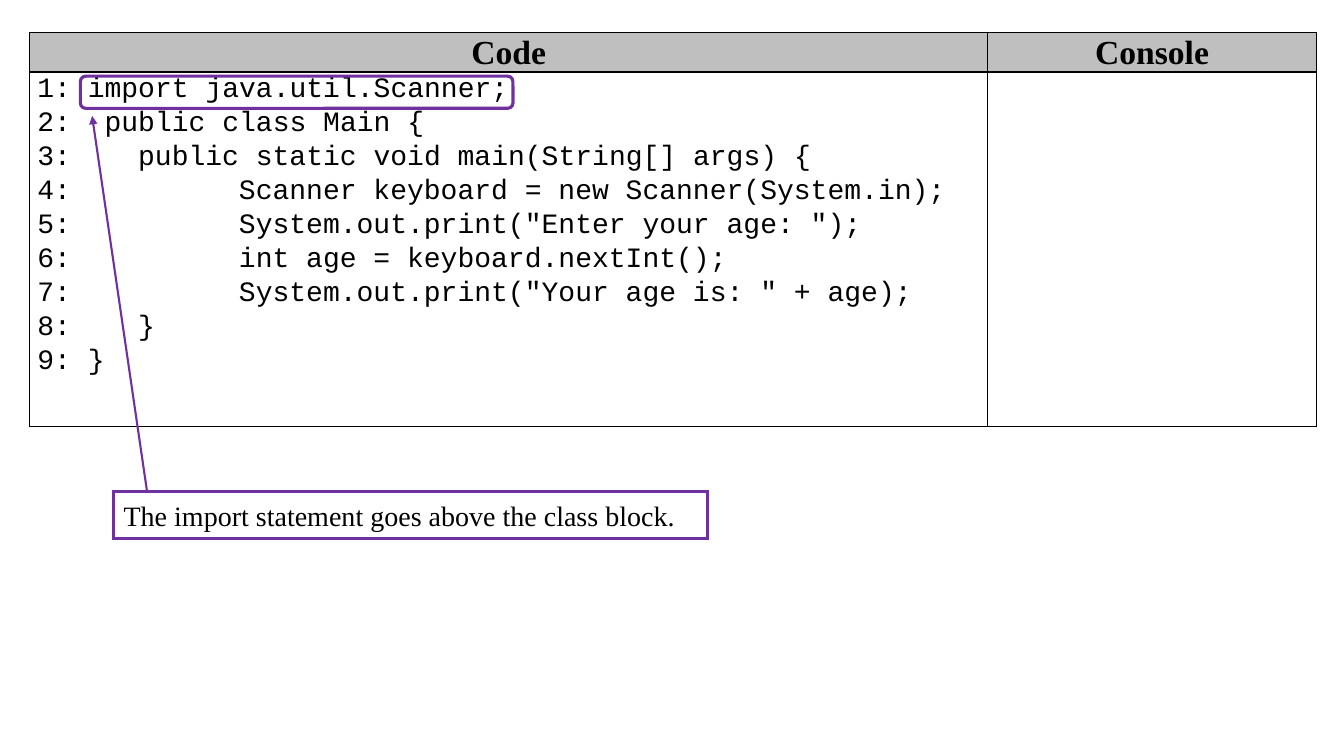
from dataclasses import dataclass

from lxml.etree import SubElement
from pptx import Presentation
from pptx.dml.color import RGBColor
from pptx.enum.shapes import MSO_CONNECTOR, MSO_SHAPE
from pptx.enum.text import MSO_ANCHOR, PP_ALIGN
from pptx.oxml import parse_xml
from pptx.oxml.ns import nsdecls, qn
from pptx.util import Pt


@dataclass(frozen=True)
class Theme:
    ink: str = "000000"
    paper: str = "FFFFFF"
    header: str = "BFBFBF"
    accent: str = "7030A0"
    serif: str = "Times New Roman"
    mono: str = "Courier New"
    header_size: int = 24
    text_size: int = 20
    border: float = 1
    outline: float = 2.25
    arrow: float = 1.5
    cell_inset: float = 5.4
    cell_spacing: float = 1.07
    code_tabs: tuple = (72, 144)


CODE = """1: import java.util.Scanner;
2:  public class Main {
3: \tpublic static void main(String[] args) {
4:\t\tScanner keyboard = new Scanner(System.in);
5:\t\tSystem.out.print("Enter your age: ");
6:\t\tint age = keyboard.nextInt();
7:\t\tSystem.out.print("Your age is: " + age);
8:\t}
9: }"""


def write(frame, text, *, font, size, color, bold=False, align=PP_ALIGN.LEFT,
          spacing=None, tabs=()):
    """Fill a text frame, one paragraph for each line of text."""
    for index, line in enumerate(text.split("\n")):
        para = frame.paragraphs[0] if index == 0 else frame.add_paragraph()
        para.alignment = align
        if spacing:
            para.line_spacing = spacing
        if tabs:
            stops = SubElement(para._p.get_or_add_pPr(), qn("a:tabLst"))
            for position in tabs:
                SubElement(stops, qn("a:tab"), pos=str(Pt(position)), algn="l")
        span = para.add_run()
        span.text = line
        span.font.name = font
        span.font.size = Pt(size)
        span.font.bold = bold
        span.font.color.rgb = RGBColor.from_string(color)


class SlideBuilder:
    def __init__(self, page, theme):
        self.page = page
        self.theme = theme

    def stroke(self, line, width):
        line.color.rgb = RGBColor.from_string(self.theme.accent)
        line.width = Pt(width)

    def cell(self, cell, text, *, fill=None, anchor=MSO_ANCHOR.TOP, **style):
        theme = self.theme
        cell.margin_left = cell.margin_right = Pt(theme.cell_inset)
        cell.margin_top = cell.margin_bottom = 0
        cell.vertical_anchor = anchor
        if fill:
            cell.fill.solid()
            cell.fill.fore_color.rgb = RGBColor.from_string(fill)
        else:
            cell.fill.background()
        # Borders come before the fill in the cell properties
        properties = cell._tc.get_or_add_tcPr()
        for index, side in enumerate(("lnL", "lnR", "lnT", "lnB")):
            properties.insert(index, parse_xml(
                f'<a:{side} {nsdecls("a")} w="{Pt(theme.border)}"><a:solidFill>'
                f'<a:srgbClr val="{theme.ink}"/></a:solidFill></a:{side}>'))
        write(cell.text_frame, text, color=theme.ink, spacing=theme.cell_spacing, **style)

    def table(self, left, top, widths, heights, headings, body):
        theme = self.theme
        table = self.page.shapes.add_table(
            2, len(widths), Pt(left), Pt(top), Pt(sum(widths)), Pt(sum(heights))).table
        table.first_row = table.horz_banding = False
        for row, height in zip(table.rows, heights):
            row.height = Pt(height)
        for index, width in enumerate(widths):
            table.columns[index].width = Pt(width)
            self.cell(table.cell(0, index), headings[index], fill=theme.header,
                      anchor=MSO_ANCHOR.MIDDLE, font=theme.serif,
                      size=theme.header_size, bold=True, align=PP_ALIGN.CENTER)
            self.cell(table.cell(1, index), body[index], font=theme.mono,
                      size=theme.text_size, tabs=theme.code_tabs)

    def box(self, kind, left, top, width, height, *, fill=None, text=None):
        theme = self.theme
        box = self.page.shapes.add_shape(kind, Pt(left), Pt(top), Pt(width), Pt(height))
        box.shadow.inherit = False
        self.stroke(box.line, theme.outline)
        SubElement(box.line._get_or_add_ln(), qn("a:miter"), lim="800000")
        if fill:
            box.fill.solid()
            box.fill.fore_color.rgb = RGBColor.from_string(fill)
        else:
            box.fill.background()
        if text:
            box.text_frame.word_wrap = True
            box.text_frame.vertical_anchor = MSO_ANCHOR.MIDDLE
            write(box.text_frame, text, font=theme.serif, size=theme.text_size, color=theme.ink)

    def arrow(self, start, end):
        arrow = self.page.shapes.add_connector(
            MSO_CONNECTOR.STRAIGHT, *(Pt(value) for value in (*start, *end)))
        self.stroke(arrow.line, self.theme.arrow)
        SubElement(arrow.line._get_or_add_ln(), qn("a:tailEnd"), type="triangle")
        SubElement(arrow._element.spPr, qn("a:effectLst"))


def main():
    deck = Presentation()
    deck.slide_width, deck.slide_height = Pt(960), Pt(540)
    theme = Theme()
    builder = SlideBuilder(deck.slides.add_slide(deck.slide_layouts[6]), theme)

    # Code listing beside an empty console
    builder.table(21.3, 23, widths=(684, 235.2), heights=(28.5, 253),
                  headings=("Code", "Console"), body=(CODE, ""))

    # Highlight around the import line, with its explanation
    builder.box(MSO_SHAPE.ROUNDED_RECTANGLE, 57.4, 54.4, 309, 23)
    builder.arrow((105, 350.8), (65.8, 82.8))
    builder.box(MSO_SHAPE.RECTANGLE, 81.2, 350.8, 424.2, 34, fill=theme.paper,
                text="The import statement goes above the class block.")

    deck.save("out.pptx")


if __name__ == "__main__":
    main()
